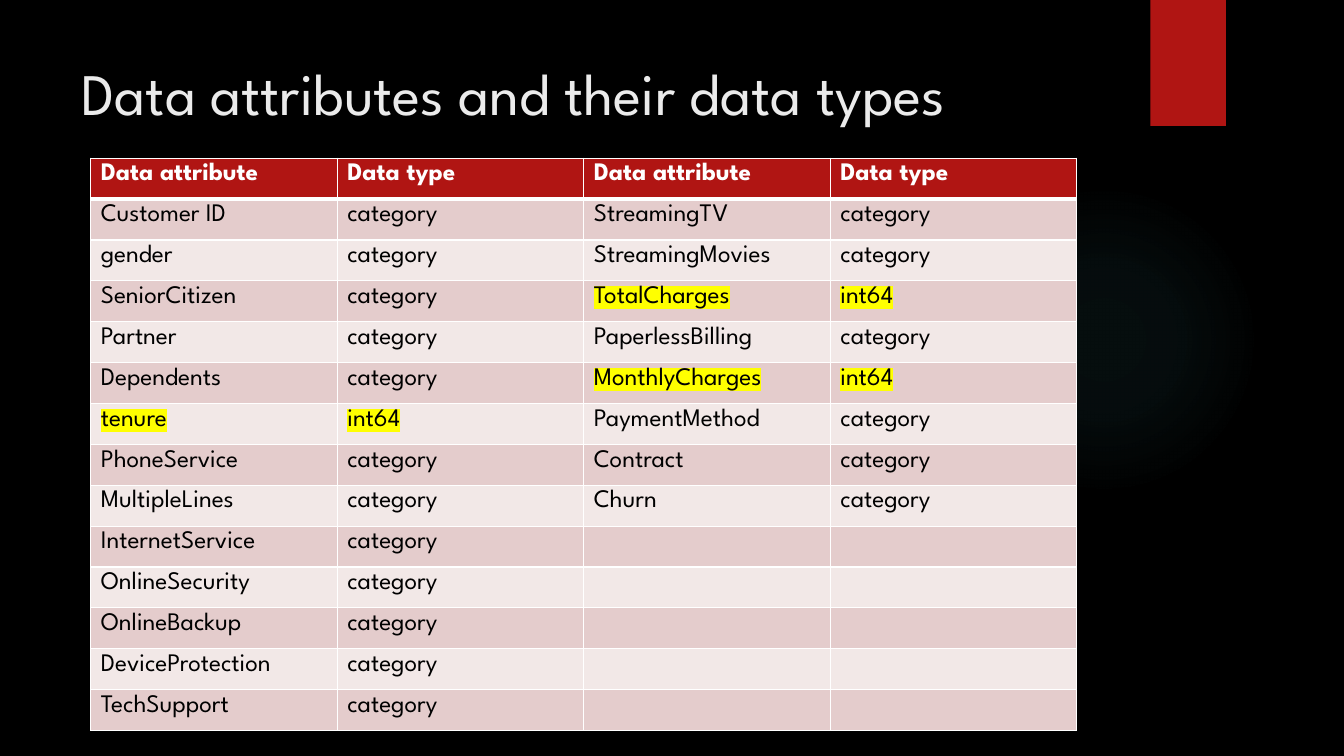
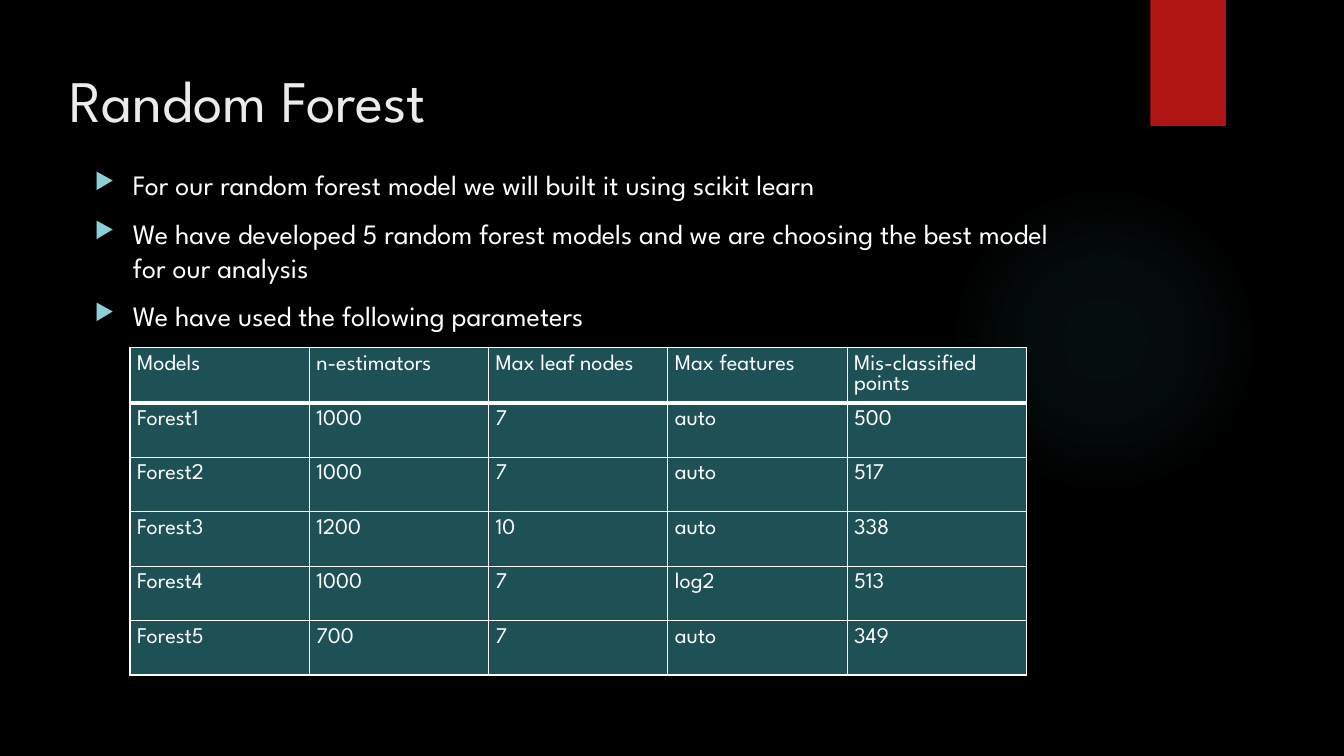
from itertools import zip_longest

from lxml import etree
from pptx import Presentation
from pptx.dml.color import RGBColor
from pptx.enum.shapes import MSO_SHAPE
from pptx.enum.text import MSO_ANCHOR, MSO_AUTO_SIZE, PP_ALIGN
from pptx.oxml import parse_xml
from pptx.oxml.ns import nsdecls, qn
from pptx.util import Emu, Pt

RECT, OVAL = MSO_SHAPE.RECTANGLE, MSO_SHAPE.OVAL
TOP, LEFT = MSO_ANCHOR.TOP, PP_ALIGN.LEFT
NO_FIT = MSO_AUTO_SIZE.NONE
TITLE_ONLY = 5

FONT = "League Spartan"
BLACK, WHITE, OFF_WHITE = "000000", "FFFFFF", "EBEBEB"
RED, TEAL, AQUA, GLOW = "B01513", "1E5155", "8AD0D6", "50B9C1"
ROSE, PALE_ROSE, YELLOW = "E4CCCC", "F2E8E7", "FFFF00"


def px(n):
    return Emu(n * 9144)


def rgb(value):
    return RGBColor.from_string(value)


def add_xml(parent, tag, **attrs):
    return etree.SubElement(parent, qn(tag), {k: str(v) for k, v in attrs.items()})


class Deck:
    def __init__(self):
        self.prs = Presentation()
        self.prs.slide_width, self.prs.slide_height = px(1333), px(750)
        fill = self.prs.slide_master.background.fill
        fill.solid()
        fill.fore_color.rgb = rgb(BLACK)
        self.s = None

    def slide(self, title, x, y, w, h):
        self.s = self.prs.slides.add_slide(self.prs.slide_layouts[TITLE_ONLY])
        self.glow(941, 183, 308, 308)
        self.ribbon(1141, 0, 75, 125)
        sp = self.s.shapes.title
        sp.left, sp.top, sp.width, sp.height = map(px, (x, y, w, h))
        tf = self.frame(sp)
        p = tf.paragraphs[0]
        p.alignment = LEFT
        p.line_spacing = Pt(51.5)
        self.run(p, title, 42, OFF_WHITE)

    def frame(self, sp):
        tf = sp.text_frame
        tf.word_wrap = True
        tf.auto_size = NO_FIT
        tf.vertical_anchor = TOP
        return tf

    def run(self, p, text, size, color, bold=False, highlight=None):
        r = p.add_run()
        r.text = text
        r.font.size, r.font.bold, r.font.name = Pt(size), bold, FONT
        r.font.color.rgb = rgb(color)
        if highlight:
            mark = parse_xml(f'<a:highlight {nsdecls("a")}><a:srgbClr val="{highlight}"/></a:highlight>')
            r._r.rPr.find(qn("a:solidFill")).addnext(mark)

    def shape(self, kind, x, y, w, h):
        sp = self.s.shapes.add_shape(kind, px(x), px(y), px(w), px(h))
        sp.line.fill.background()
        sp.shadow.inherit = False
        return sp

    def glow(self, x, y, w, h):
        sp = self.shape(OVAL, x, y, w, h)
        sp.fill.background()
        stops = "".join(
            f'<a:gs pos="{pos * 1000}"><a:srgbClr val="{GLOW}"><a:alpha val="{alpha * 1000}"/></a:srgbClr></a:gs>'
            for pos, alpha in ((0, 7), (36, 6), (69, 0)))
        grad = parse_xml(
            f'<a:gradFill {nsdecls("a")}><a:gsLst>{stops}</a:gsLst><a:path path="circle">'
            '<a:fillToRect l="50000" t="50000" r="50000" b="50000"/></a:path></a:gradFill>')
        spPr = sp._element.spPr
        spPr.replace(spPr.find(qn("a:noFill")), grad)

    def ribbon(self, x, y, w, h):
        sp = self.shape(RECT, x, y, w, h)
        sp.fill.solid()
        sp.fill.fore_color.rgb = rgb(RED)
        effects = sp._element.spPr.find(qn("a:effectLst"))
        shadow = add_xml(effects, "a:outerShdw", blurRad=Pt(3), dist=Pt(2), dir=5400000, rotWithShape=0)
        add_xml(add_xml(shadow, "a:srgbClr", val=BLACK), "a:alpha", val=45000)

    def bullets(self, x, y, w, h, lines):
        tf = self.frame(self.s.shapes.add_textbox(px(x), px(y), px(w), px(h)))
        for i, line in enumerate(lines):
            p = tf.add_paragraph() if i else tf.paragraphs[0]
            p.line_spacing, p.space_before = Pt(24.5), Pt(10)
            pPr = p._p.get_or_add_pPr()
            pPr.set("marL", str(px(38)))
            pPr.set("indent", str(px(-38)))
            add_xml(add_xml(pPr, "a:buClr"), "a:srgbClr", val=AQUA)
            add_xml(pPr, "a:buSzPct", val=80000)
            add_xml(pPr, "a:buChar", char="▶")
            self.run(p, line, 20, WHITE)

    def borders(self, cell, top, bottom):
        tcPr = cell._tc.get_or_add_tcPr()
        widths = (("L", 1), ("R", 1), ("T", top), ("B", bottom))
        for i, (side, width) in enumerate(widths):
            ln = etree.Element(qn(f"a:ln{side}"), w=str(Pt(width)))
            add_xml(add_xml(ln, "a:solidFill"), "a:srgbClr", val=WHITE)
            tcPr.insert(i, ln)

    def table(self, x, y, w, h, rows, size, head, bands, color, bold_head=False, inset=None, marked=()):
        table = self.s.shapes.add_table(len(rows), len(rows[0]), px(x), px(y), px(w), px(h)).table
        table.horz_banding = False
        for i, row in enumerate(rows):
            for j, text in enumerate(row):
                cell = table.cell(i, j)
                cell.fill.solid()
                cell.fill.fore_color.rgb = rgb(bands[(i - 1) % len(bands)] if i else head)
                self.borders(cell, 3 if i == 1 else 1, 1 if i else 3)
                if inset:
                    cell.margin_left = cell.margin_right = px(inset)
                    cell.margin_top = cell.margin_bottom = px(inset)
                if text:
                    self.run(cell.text_frame.paragraphs[0], text, size, color if i else WHITE,
                             bold_head and i == 0, YELLOW if text in marked else None)


def main():
    deck = Deck()

    deck.slide("Data attributes and their data types", 71, 50, 1147, 153)
    numeric = ("tenure", "TotalCharges", "MonthlyCharges")
    left = ("Customer ID", "gender", "SeniorCitizen", "Partner", "Dependents", "tenure",
            "PhoneService", "MultipleLines", "InternetService", "OnlineSecurity",
            "OnlineBackup", "DeviceProtection", "TechSupport")
    right = ("StreamingTV", "StreamingMovies", "TotalCharges", "PaperlessBilling",
             "MonthlyCharges", "PaymentMethod", "Contract", "Churn")

    def typed(name):
        if not name:
            return ("", "")
        return (name, "int64" if name in numeric else "category")

    rows = [("Data attribute", "Data type") * 2]
    rows += [typed(a) + typed(b) for a, b in zip_longest(left, right)]
    deck.table(90, 157, 978, 568, rows, 18, RED, (ROSE, PALE_ROSE), BLACK,
               bold_head=True, marked=numeric + ("int64",))

    deck.slide("Random Forest", 59, 57, 1029, 153)
    deck.bullets(84, 161, 978, 180, (
        "For our random forest model we will built it using scikit learn",
        "We have developed 5 random forest models and we are choosing the best model for our analysis",
        "We have used the following parameters"))
    forests = [
        ("Models", "n-estimators", "Max leaf nodes", "Max features", "Mis-classified points"),
        ("Forest1", "1000", "7", "auto", "500"),
        ("Forest2", "1000", "7", "auto", "517"),
        ("Forest3", "1200", "10", "auto", "338"),
        ("Forest4", "1000", "7", "log2", "513"),
        ("Forest5", "700", "7", "auto", "349"),
    ]
    deck.table(129, 345, 889, 324, forests, 16, TEAL, (TEAL,), WHITE, inset=7)

    deck.prs.save("out.pptx")


if __name__ == "__main__":
    main()
